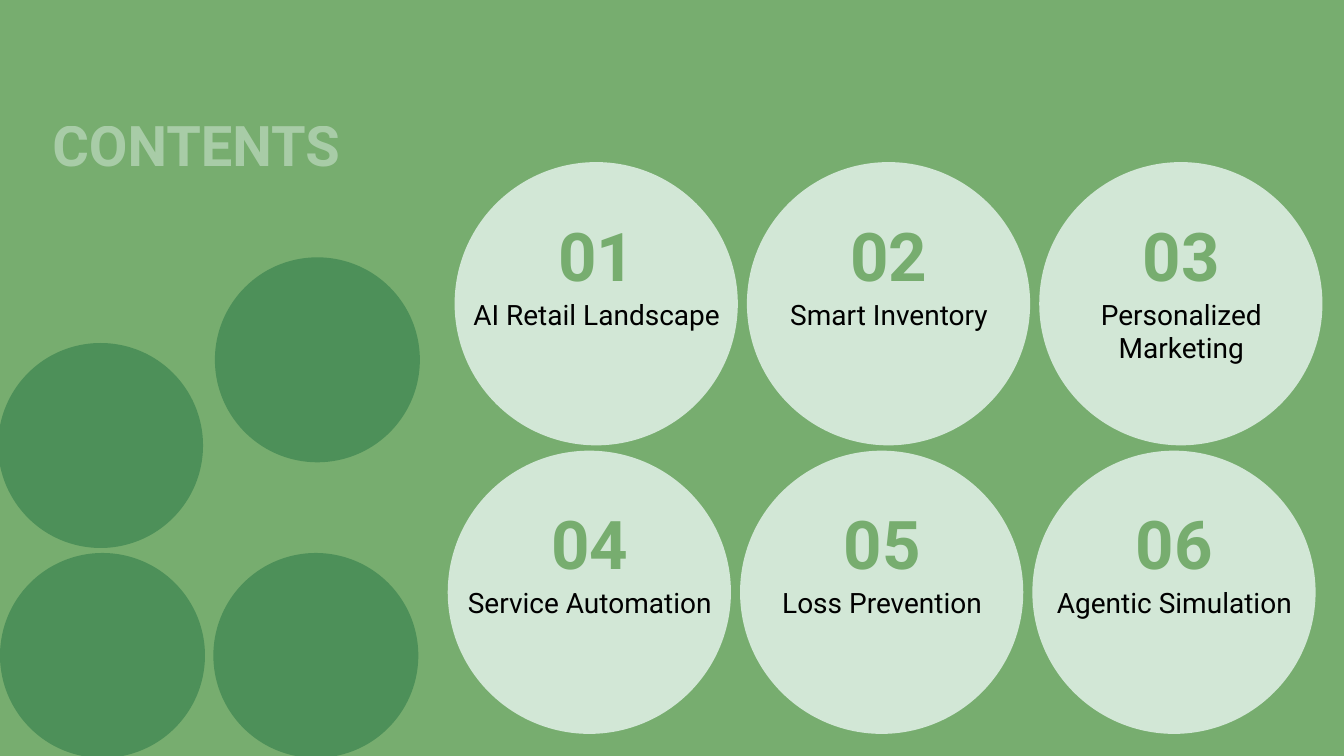
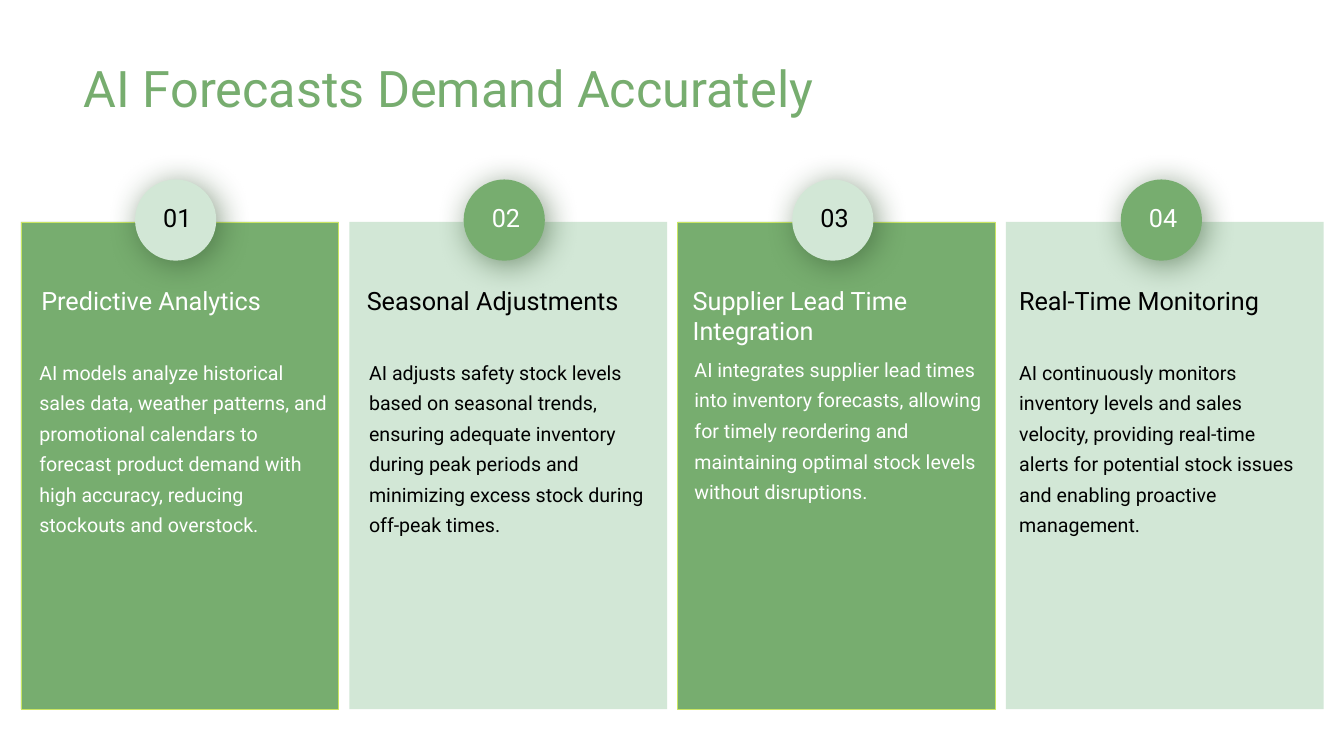
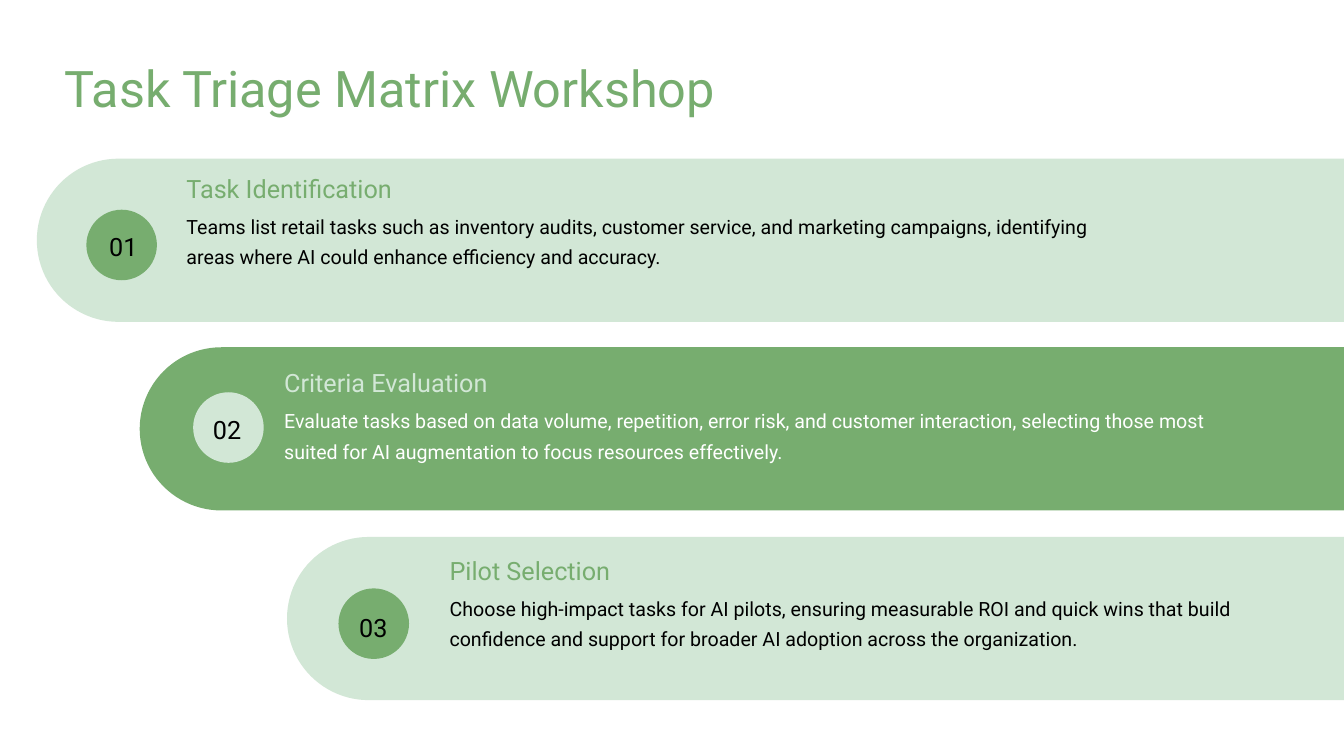
from lxml import etree
from pptx import Presentation
from pptx.dml.color import RGBColor
from pptx.enum.shapes import MSO_SHAPE
from pptx.enum.text import MSO_ANCHOR, PP_ALIGN
from pptx.oxml.ns import qn
from pptx.util import Pt

OVAL = MSO_SHAPE.OVAL
RECT = MSO_SHAPE.RECTANGLE
ROUND_TOP = MSO_SHAPE.ROUND_2_SAME_RECTANGLE
LEFT, CENTER = PP_ALIGN.LEFT, PP_ALIGN.CENTER
TOP = MSO_ANCHOR.TOP

WIDTH, HEIGHT = 960, 540
FONT = "Roboto"
COLORS = {
    "green": "77AD6F",
    "mint": "D2E7D6",
    "dark": "4D9059",
    "lime": "CAE562",
    "shade": "395A34",
    "white": "FFFFFF",
    "black": "000000",
}


def rgb(name):
    return RGBColor.from_string(COLORS[name])


class Deck:
    """Holds the shared style and the slide being drawn."""

    def __init__(self):
        self.prs = Presentation()
        self.prs.slide_width, self.prs.slide_height = Pt(WIDTH), Pt(HEIGHT)
        self.s = None

    def slide(self, background="white"):
        self.s = self.prs.slides.add_slide(self.prs.slide_layouts[6])
        fill = self.s.background.fill
        fill.solid()
        fill.fore_color.rgb = rgb(background)

    def shape(self, kind, x, y, w, h, fill, line=None):
        sp = self.s.shapes.add_shape(kind, Pt(x), Pt(y), Pt(w), Pt(h))
        sp.shadow.inherit = False
        sp.fill.solid()
        sp.fill.fore_color.rgb = rgb(fill)
        if line:
            sp.line.color.rgb = rgb(line)
            sp.line.width = Pt(0.5)
        else:
            sp.line.fill.background()
        return sp

    def circle(self, x, y, size, fill):
        return self.shape(OVAL, x, y, size, size, fill)

    def badge(self, x, y, size, fill):
        """Circle with a soft shadow."""
        effects = self.circle(x, y, size, fill)._element.spPr.find(qn("a:effectLst"))
        shadow = etree.SubElement(
            effects, qn("a:outerShdw"), blurRad=str(Pt(22.9)), dist=str(Pt(4)),
            dir="2700000", algn="tl", rotWithShape="0")
        color = etree.SubElement(shadow, qn("a:srgbClr"), val=COLORS["shade"])
        etree.SubElement(color, qn("a:alpha"), val="60000")

    def bar(self, x, y, h, fill):
        """Band with a round left end that runs to the right slide edge."""
        w = WIDTH - x
        sp = self.shape(ROUND_TOP, x + (w - h) / 2, y - (w - h) / 2, h, w, fill)
        sp.adjustments[0], sp.adjustments[1] = 0.5, 0
        sp.rotation = 270

    def text(self, text, x, y, w, h, size, color="black", bold=False,
             align=LEFT, spacing=None, inset=0, alpha=None):
        tf = self.s.shapes.add_textbox(Pt(x), Pt(y), Pt(w), Pt(h)).text_frame
        tf.word_wrap = True
        tf.vertical_anchor = TOP
        tf.margin_left = tf.margin_right = Pt(inset)
        tf.margin_top = tf.margin_bottom = Pt(inset)
        tf.text = text
        p = tf.paragraphs[0]
        p.alignment = align
        if spacing:
            p.line_spacing = spacing
        font = p.runs[0].font
        font.name, font.size, font.bold = FONT, Pt(size), bold
        font.color.rgb = rgb(color)
        if alpha:
            clr = p.runs[0]._r.rPr.find(".//" + qn("a:srgbClr"))
            etree.SubElement(clr, qn("a:alpha"), val=str(alpha * 1000))

    def title(self, text, x):
        self.text(text, x, 41, 864, 44, 36, "green")

    def body(self, text, x, y, w, h, color):
        self.text(text, x, y, w, h, 14, color, spacing=1.3, inset=3.6)


def contents(deck):
    deck.slide("green")
    topics = ["AI Retail Landscape", "Smart Inventory", "Personalized Marketing",
              "Service Automation", "Loss Prevention", "Agentic Simulation"]
    rows = [(324.7, 115.8), (319.8, 321.9)]
    for i, topic in enumerate(topics):
        row, col = divmod(i, 3)
        x, y = rows[row]
        x += col * 208.8
        deck.circle(x, y, 202.3, "mint")
        deck.text(f"{i + 1:02}", x + 5.8, y + 37, 191.5, 66, 48, "green",
                  bold=True, align=CENTER)
        deck.text(topic, x + 5.8, y + 96.5, 191.5, 66, 20, align=CENTER)
    for x, y in [(0, 395), (-1.4, 245), (152.4, 395), (153.5, 183.8)]:
        deck.circle(x, y, 146.4, "dark")
    deck.text("CONTENTS", 33.8, 75.6, 331, 54, 40, "mint", bold=True,
              inset=3.6, alpha=55)


def forecasts(deck):
    deck.slide()
    deck.title("AI Forecasts Demand Accurately", 60)
    # heading, heading x, body x, body y, body width, body
    cards = [
        ("Predictive Analytics", 29.5, 24.5, 249, 216,
         "AI models analyze historical sales data, weather patterns, and promotional "
         "calendars to forecast product demand with high accuracy, reducing stockouts "
         "and overstock."),
        ("Seasonal Adjustments", 262, 260, 249, 212.4,
         "AI adjusts safety stock levels based on seasonal trends, ensuring adequate "
         "inventory during peak periods and minimizing excess stock during off-peak "
         "times."),
        ("Supplier Lead Time Integration", 494.8, 492.5, 247, 216,
         "AI integrates supplier lead times into inventory forecasts, allowing for "
         "timely reordering and maintaining optimal stock levels without disruptions."),
        ("Real-Time Monitoring", 727.9, 724.4, 249, 212.4,
         "AI continuously monitors inventory levels and sales velocity, providing "
         "real-time alerts for potential stock issues and enabling proactive "
         "management."),
    ]
    for i, (heading, heading_x, body_x, body_y, body_w, body) in enumerate(cards):
        if i % 2:
            fill, line, ink, badge_fill, badge_ink = "mint", None, "black", "green", "white"
        else:
            fill, line, ink, badge_fill, badge_ink = "green", "lime", "white", "mint", "black"
        badge_x = 96.5 + i * 234.7
        deck.shape(RECT, 15 + i * 234.5, 158.5, 227, 348, fill, line)
        deck.badge(badge_x, 128.2, 58, badge_fill)
        deck.text(f"{i + 1:02}", badge_x, 144.7, 60.5, 26.6, 18, badge_ink, align=CENTER)
        deck.text(heading, heading_x, 203.8, 207.4, 22, 18, ink)
        deck.body(body, body_x, body_y, body_w, 135, ink)


def workshop(deck):
    deck.slide()
    deck.title("Task Triage Matrix Workshop", 46)
    # bar x, y; badge x, y; number x, y; text x, y, width; heading, body
    steps = [
        ((26.3, 113.3), (61.7, 149.8), (61.9, 163.4), (129.6, 120.2, 664.6),
         "Task Identification",
         "Teams list retail tasks such as inventory audits, customer service, and "
         "marketing campaigns, identifying areas where AI could enhance efficiency "
         "and accuracy."),
        ((99.8, 248), (138, 280.2), (136, 293.8), (199.4, 259, 670.3),
         "Criteria Evaluation",
         "Evaluate tasks based on data volume, repetition, error risk, and customer "
         "interaction, selecting those most suited for AI augmentation to focus "
         "resources effectively."),
        ((205, 383.5), (241.8, 420.3), (240.5, 434.9), (317.5, 393.1, 611.3),
         "Pilot Selection",
         "Choose high-impact tasks for AI pilots, ensuring measurable ROI and quick "
         "wins that build confidence and support for broader AI adoption across the "
         "organization."),
    ]
    for i, (bar, badge, number, (x, y, w), heading, body) in enumerate(steps):
        if i % 2:
            fill, accent, ink = "green", "mint", "white"
        else:
            fill, accent, ink = "mint", "green", "black"
        deck.bar(*bar, 116.6, fill)
        deck.circle(*badge, 50.4, accent)
        deck.text(f"{i + 1:02}", *number, 52.5, 23, 18, align=CENTER, spacing=1.1)
        deck.text(heading, x, y, w, 29, 18, accent, inset=3.6)
        deck.body(body, x, y + 24.5, w, 51, ink)


def main():
    deck = Deck()
    contents(deck)
    forecasts(deck)
    workshop(deck)
    deck.prs.save("out.pptx")


if __name__ == "__main__":
    main()
